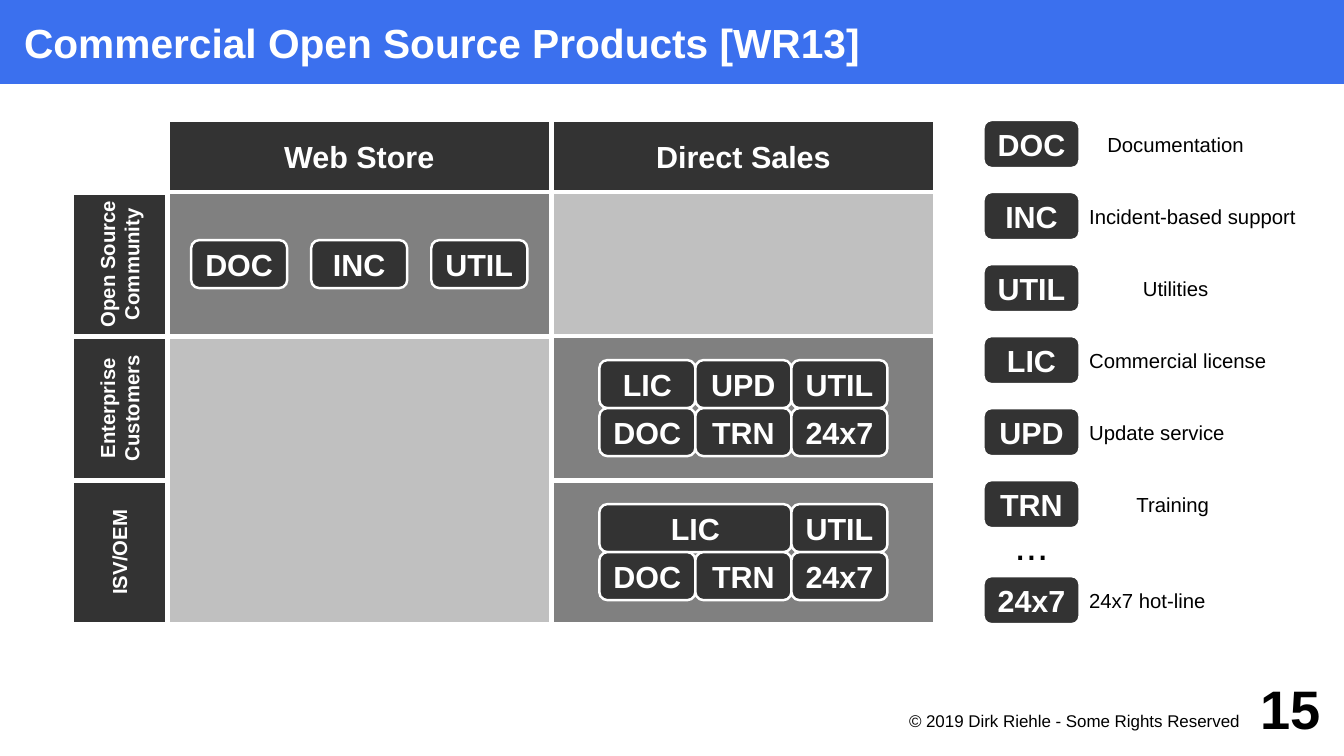
"""Build the slide on commercial open source products by market and channel."""
from dataclasses import dataclass

from pptx import Presentation
from pptx.dml.color import RGBColor
from pptx.enum.shapes import MSO_SHAPE
from pptx.enum.text import MSO_ANCHOR, PP_ALIGN
from pptx.util import Pt

RECT, ROUND = MSO_SHAPE.RECTANGLE, MSO_SHAPE.ROUNDED_RECTANGLE
LEFT, MID, RIGHT = PP_ALIGN.LEFT, PP_ALIGN.CENTER, PP_ALIGN.RIGHT
TOP, CENTER = MSO_ANCHOR.TOP, MSO_ANCHOR.MIDDLE


@dataclass(frozen=True)
class Theme:
    font: str = "Arial"
    blue: str = "3B70EE"
    dark: str = "333333"
    used: str = "808080"
    free: str = "C0C0C0"
    white: str = "FFFFFF"
    black: str = "000000"
    title: int = 24
    head: int = 18
    label: int = 12
    foot: int = 10
    page: int = 32


theme = Theme()
deck = Presentation()
deck.slide_width, deck.slide_height = Pt(793.44), Pt(446.4)
slide = deck.slides.add_slide(deck.slide_layouts[6])


def write(shape, words, size, ink, bold=True, align=MID, pads=(5.67,) * 4, anchor=CENTER, wrap=False):
    frame = shape.text_frame
    frame.text = words
    frame.word_wrap = wrap
    frame.vertical_anchor = anchor
    frame.margin_left, frame.margin_top, frame.margin_right, frame.margin_bottom = map(Pt, pads)
    for para in frame.paragraphs:
        para.alignment = align
        for run in para.runs:
            run.font.name, run.font.size, run.font.bold = theme.font, Pt(size), bold
            run.font.color.rgb = RGBColor.from_string(ink)


def block(form, x, y, w, h, fill, edge):
    shape = slide.shapes.add_shape(form, Pt(x), Pt(y), Pt(w), Pt(h))
    shape.shadow.inherit = False
    shape.fill.solid()
    shape.fill.fore_color.rgb = RGBColor.from_string(fill)
    if edge:
        shape.line.color.rgb = RGBColor.from_string(theme.white)
        shape.line.width = Pt(edge)
    else:
        shape.line.fill.background()
    return shape


unit = 28.35
grid_x, grid_y = 98.7, 70.9
col_w, row_h, head_h = 8 * unit, 3 * unit, 1.5 * unit
chip_w, chip_h = 2 * unit, unit
body_y = grid_y + head_h
key_x = grid_x + 17 * unit
zero = (0, 0, 0, 0)

bar = block(RECT, 0, 0, 793.44, 49.6, theme.blue, 0)
write(bar, "Commercial Open Source Products [WR13]", theme.title, theme.white,
      align=LEFT, pads=(14.2, 0, 0, 0), wrap=True)

for col, name in enumerate(("Web Store", "Direct Sales")):
    head = block(RECT, grid_x + col * col_w, grid_y, col_w, head_h, theme.dark, 2.83)
    write(head, name, theme.head, theme.white)

for row, name in enumerate(("Open Source\vCommunity", "Enterprise\vCustomers", "ISV/OEM")):
    side = block(RECT, grid_x - unit - row_h / 2, body_y + (row + 0.5) * row_h - unit,
                 row_h, 2 * unit, theme.dark, 2.83)
    side.rotation = 270
    write(side, name, theme.label, theme.white, pads=zero)

cells = (
    (1, 2, 1, theme.used),
    (1, 1, 1, theme.used),
    (0, 1, 2, theme.free),
    (0, 0, 1, theme.used),
    (1, 0, 1, theme.free),
)
for col, row, span, fill in cells:
    block(RECT, grid_x + col * col_w, body_y + row * row_h, col_w, span * row_h, fill, 2.83)

keys = (
    ("DOC", "Documentation", 0, 4, MID),
    ("INC", "Incident-based support", 1.5, 5, LEFT),
    ("UTIL", "Utilities", 3, 4, MID),
    ("LIC", "Commercial license", 4.5, 4.5, LEFT),
    ("UPD", "Update service", 6, 4, LEFT),
    ("TRN", "Training ", 7.5, 4, MID),
    ("24x7", "24x7 hot-line", 9.5, 4, LEFT),
)
chips = [(code, key_x, grid_y + drop * unit, 1) for code, _, drop, _, _ in keys]

for step, code in enumerate(("DOC", "INC", "UTIL")):
    chips.append((code, grid_x + (0.5 + 2.5 * step) * unit, body_y + unit, 1))

packs = (
    (1, 0, (("LIC", 1), ("UPD", 1), ("UTIL", 1))),
    (1, 1, (("DOC", 1), ("TRN", 1), ("24x7", 1))),
    (2, 0, (("LIC", 2), ("UTIL", 1))),
    (2, 1, (("DOC", 1), ("TRN", 1), ("24x7", 1))),
)
for row, line, codes in packs:
    x = grid_x + col_w + unit
    for code, span in codes:
        chips.append((code, x, body_y + row * row_h + (0.5 + line) * unit, span))
        x += span * chip_w

for code, x, y, span in chips:
    chip = block(ROUND, x, y, span * chip_w, chip_h, theme.dark, 1.45)
    chip.adjustments[0] = 0.167
    write(chip, code, theme.head, theme.white)

for _, name, drop, wide, align in keys:
    note = slide.shapes.add_textbox(Pt(key_x + chip_w), Pt(grid_y + drop * unit), Pt(wide * unit), Pt(chip_h))
    write(note, name, theme.label, theme.black, bold=False, align=align, wrap=True)

dots = slide.shapes.add_textbox(Pt(key_x), Pt(302.4), Pt(chip_w), Pt(38.2))
write(dots, "...", theme.title, theme.black, bold=False, wrap=True)

foot = slide.shapes.add_textbox(Pt(510.5), Pt(418.3), Pt(226.8), Pt(21.6))
write(foot, "© 2019 Dirk Riehle - Some Rights Reserved", theme.foot, theme.black, bold=False,
      align=RIGHT, pads=(0, 1.4, 5.67, 0), anchor=TOP, wrap=True)

page = slide.shapes.add_textbox(Pt(722.9), Pt(396.7), Pt(56.7), Pt(42.5))
write(page, "15", theme.page, theme.black, align=RIGHT, pads=zero, wrap=True)

deck.save("out.pptx")
